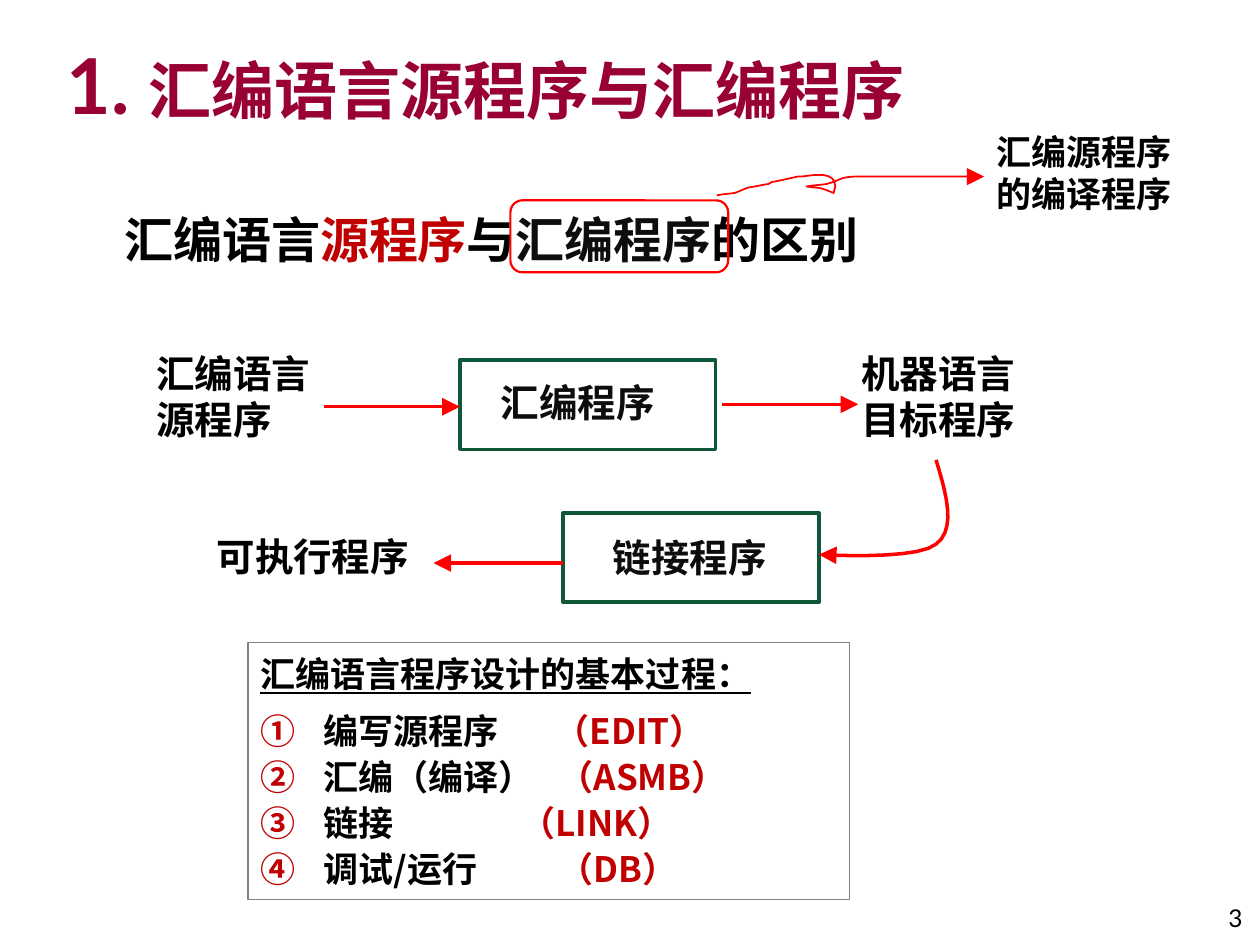
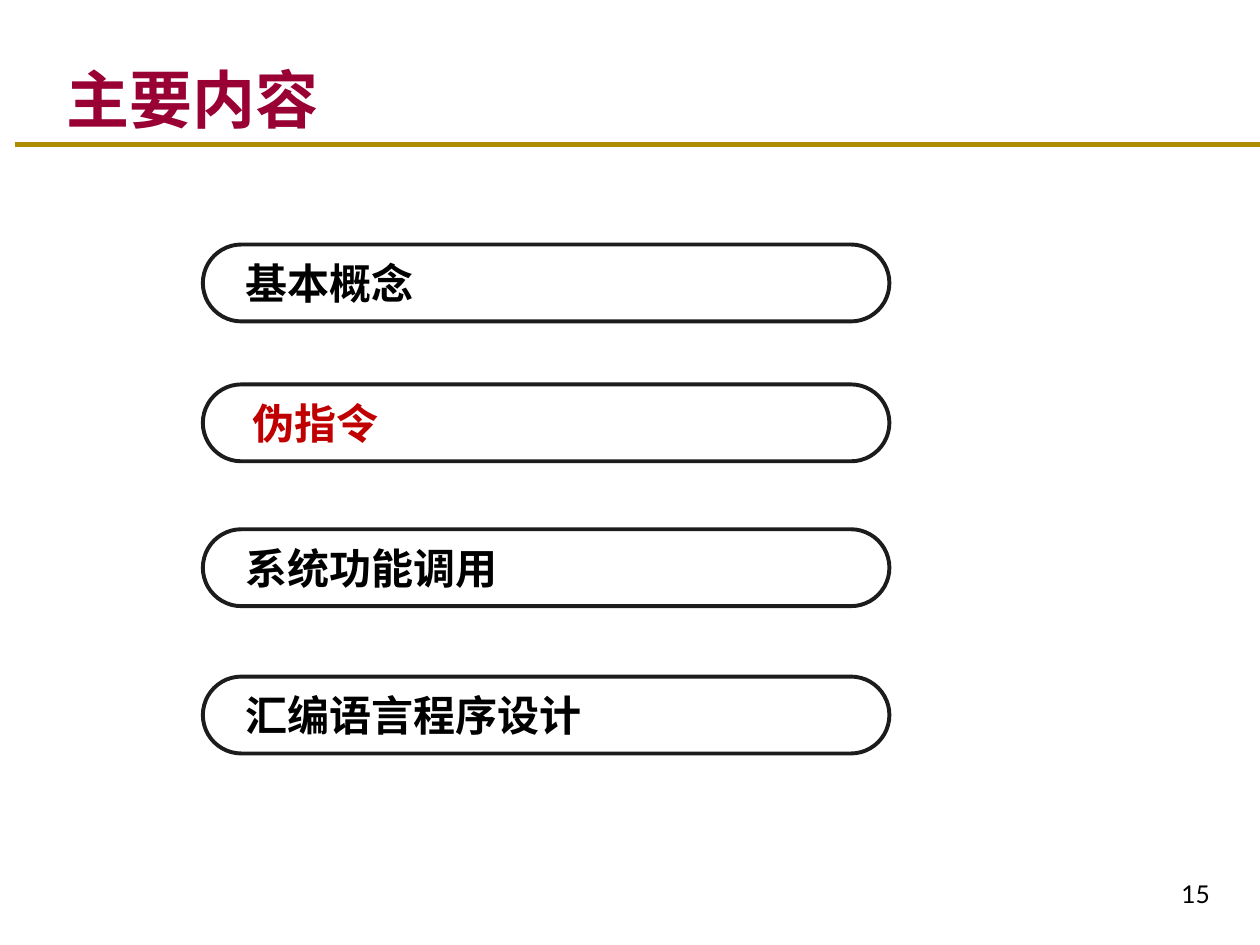
"""Build two slides on assembly-language programs and the assembler."""
from dataclasses import dataclass

from lxml import etree
from pptx import Presentation
from pptx import util as u
from pptx.dml.color import RGBColor
from pptx.enum import shapes, text
from pptx.oxml.ns import qn

CJK = "Noto Sans CJK SC"
LATIN = "Lato"
BLACK = RGBColor(0x00, 0x00, 0x00)
INK = RGBColor(0x0D, 0x0D, 0x0D)
MAROON = RGBColor(0x99, 0x00, 0x33)
CRIMSON = RGBColor(0xC0, 0x00, 0x00)
RED = RGBColor(0xFF, 0x00, 0x00)
GREEN = RGBColor(0x10, 0x56, 0x38)
GREY = RGBColor(0x80, 0x80, 0x80)
CHARCOAL = RGBColor(0x1C, 0x1C, 0x1C)
GOLD = RGBColor(0xAD, 0x8C, 0x01)
WHITE = RGBColor(0xFF, 0xFF, 0xFF)
LEADING = 1.2
LEFT, CENTER, RIGHT = text.PP_ALIGN.LEFT, text.PP_ALIGN.CENTER, text.PP_ALIGN.RIGHT
TOP, MIDDLE, BOTTOM = text.MSO_ANCHOR.TOP, text.MSO_ANCHOR.MIDDLE, text.MSO_ANCHOR.BOTTOM


@dataclass(frozen=True)
class Area:
    """A rectangle in centimetres."""
    left: float
    top: float
    width: float
    height: float

    def lengths(self) -> list:
        """Give the four sides as lengths."""
        return [u.Cm(side) for side in (self.left, self.top, self.width, self.height)]


@dataclass(frozen=True)
class Label:
    """A line of the flow diagram."""
    words: str
    area: Area
    size: float = 22
    color: RGBColor = BLACK
    align: text.PP_ALIGN = LEFT


@dataclass(frozen=True)
class Arrow:
    """A straight arrow between two points in centimetres."""
    start: tuple[float, float]
    end: tuple[float, float]


@dataclass(frozen=True)
class Step:
    """A step of the programming process, its tool and the tool's indent."""
    task: str
    tool: str
    indent: float


@dataclass(frozen=True)
class Topic:
    """An entry of the contents slide."""
    words: str
    top: float
    inset: float = 0.63
    color: RGBColor = BLACK


LABELS = [
    Label("汇编程序", Area(9.45, 7.52, 4.39, 1.19), color=INK, align=CENTER),
    Label("汇编语言源程序", Area(2.9, 6.93, 3.78, 2.13)),
    Label("机器语言目标程序", Area(17.12, 6.93, 3.99, 2.13)),
    Label("链接程序", Area(11.71, 10.64, 4.39, 1.19), color=INK, align=CENTER),
    Label("可执行程序", Area(3.51, 10.62, 5.59, 1.19), align=CENTER),
    Label("汇编源程序的编译程序", Area(19.84, 2.51, 4.65, 1.96), size=20),
]
PROGRAM_BOXES = [Area(9.27, 7.26, 5.16, 1.8), Area(11.35, 10.34, 5.16, 1.8)]
ARROWS = [
    Arrow((6.53, 8.2), (9.27, 8.2)),
    Arrow((14.55, 8.15), (17.3, 8.15)),
    Arrow((11.35, 11.35), (8.74, 11.35)),
]
HOOK = [
    (18.87, 9.27), (19.08, 9.96), (19.28, 10.67), (18.87, 10.97),
    (18.49, 11.3), (16.51, 11.18), (16.51, 11.18),
]
SQUIGGLE = [
    (14.45, 3.94), (14.58, 3.91), (14.68, 3.91), (14.81, 3.89),
    (14.91, 3.86), (14.99, 3.81), (15.09, 3.78),
    (15.24, 3.76), (15.34, 3.73), (15.49, 3.71),
    (15.54, 3.68), (15.57, 3.66), (15.62, 3.66),
    (15.77, 3.63), (16.08, 3.56), (16.08, 3.56),
    (16.23, 3.58), (16.84, 3.38), (16.84, 3.76),
    (16.84, 3.78), (16.81, 3.84), (16.81, 3.89),
    (16.46, 3.76), (16.64, 3.81), (16.26, 3.76),
    (16.41, 3.73), (16.54, 3.73), (16.66, 3.71),
    (16.97, 3.63), (16.89, 3.58), (17.22, 3.56),
    (18.08, 3.56), (18.97, 3.56), (19.84, 3.56),
]
STEPS = [
    Step("编写源程序", "（EDIT）", 0),
    Step("汇编（编译）", "（ASMB）", 0.08),
    Step("链接", "（LINK）", -0.69),
    Step("调试/运行", "（DB）", 0.08),
]
TOPICS = [
    Topic("基本概念", 4.93),
    Topic("伪指令", 7.75, inset=0.77, color=CRIMSON),
    Topic("系统功能调用", 10.67),
    Topic("汇编语言程序设计", 13.64),
]


def add_span(para, words: str, *, size: float, color: RGBColor = BLACK, font: str = CJK,
             bold: bool = True, underline: bool = False) -> None:
    """Append formatted text to a paragraph."""
    span = para.add_run()
    span.text = words
    span.font.size = u.Pt(size)
    span.font.bold = bold
    span.font.underline = underline
    span.font.color.rgb = color
    span.font.name = font
    latin = span.font._element.find(qn("a:latin"))
    east_asian = etree.Element(qn("a:ea"), typeface=font)
    latin.addnext(east_asian)


def add_label(page, area: Area, align=LEFT, anchor=TOP):
    """Add a wrapping text box and return its first paragraph."""
    box = page.shapes.add_textbox(*area.lengths())
    box.text_frame.word_wrap = True
    box.text_frame.vertical_anchor = anchor
    para = box.text_frame.paragraphs[0]
    para.alignment = align
    return para


def set_leading(para, size: float) -> None:
    """Fix the line pitch of a paragraph from its text size."""
    para.line_spacing = u.Pt(size * LEADING)


def style_outline(line, color: RGBColor, width: float, arrow: bool = False) -> None:
    """Set line colour and width, with an optional arrowhead at its end."""
    line.color.rgb = color
    line.width = u.Pt(width)
    if arrow:
        etree.SubElement(line._get_or_add_ln(), qn("a:tailEnd"),
                         type="triangle", w="lg", len="lg")


def add_frame(page, area: Area, color: RGBColor, width: float,
              kind=shapes.MSO_SHAPE.RECTANGLE):
    """Add an unfilled outlined shape."""
    frame = page.shapes.add_shape(kind, *area.lengths())
    frame.shadow.inherit = False
    frame.fill.background()
    style_outline(frame.line, color, width)
    return frame


def add_line(page, start: tuple, end: tuple, color: RGBColor, width: float,
             arrow: bool = False) -> None:
    """Add a straight connector."""
    line = page.shapes.add_connector(
        shapes.MSO_CONNECTOR.STRAIGHT, *[u.Cm(value) for value in start + end])
    style_outline(line.line, color, width, arrow)
    etree.SubElement(line._element.spPr, qn("a:effectLst"))


def trace_curve(nodes: list, steps: int = 10) -> list:
    """Sample a chain of cubic curves into points."""
    points = []
    for first in range(0, len(nodes) - 1, 3):
        corners = nodes[first:first + 4]
        for step in range(1, steps + 1):
            t = step / steps
            weights = ((1 - t) ** 3, 3 * t * (1 - t) ** 2, 3 * t * t * (1 - t), t ** 3)
            points.append(tuple(
                u.Cm(sum(weight * corner[axis] for weight, corner in zip(weights, corners)))
                for axis in (0, 1)))
    return points


def add_curved_arrow(page, nodes: list, width: float) -> None:
    """Draw a red arrow along a chain of cubic curves."""
    builder = page.shapes.build_freeform(*[u.Cm(value) for value in nodes[0]])
    builder.add_line_segments(trace_curve(nodes), close=False)
    curve = builder.convert_to_shape()
    curve.shadow.inherit = False
    curve.fill.background()
    style_outline(curve.line, RED, width, arrow=True)


def add_page(deck, title_area: Area, number: str, number_area: Area):
    """Add a blank page with its number and return it with the title paragraph."""
    page = deck.slides.add_slide(deck.slide_layouts[6])
    page.background.fill.solid()
    page.background.fill.fore_color.rgb = WHITE
    para = add_label(page, number_area, RIGHT, BOTTOM)
    add_span(para, number, size=14, font=LATIN, bold=False)
    return page, add_label(page, title_area, anchor=BOTTOM)


def number_item(para, margin: float) -> None:
    """Give a paragraph a red circled number and a hanging indent."""
    properties = para._p.get_or_add_pPr()
    properties.set("marL", str(u.Cm(margin)))
    properties.set("indent", str(-u.Cm(margin)))
    color = etree.SubElement(properties, qn("a:buClr"))
    etree.SubElement(color, qn("a:srgbClr"), val=str(CRIMSON))
    etree.SubElement(properties, qn("a:buFont"), typeface=CJK)
    etree.SubElement(properties, qn("a:buAutoNum"), type="circleNumDbPlain")


def add_process(page) -> None:
    """Draw the framed list of programming steps and their tools."""
    size, gap = 20, 6
    area = Area(5, 12.95, 12.12, 5.18)
    frame = add_frame(page, area, GREY, 0.75).text_frame
    frame.word_wrap = True
    frame.vertical_anchor = TOP
    heading = frame.paragraphs[0]
    heading.alignment = LEFT
    heading.space_after = u.Pt(gap)
    set_leading(heading, size * 1.1)
    add_span(heading, "汇编语言程序设计的基本过程：", size=size, underline=True)
    tools_top = area.top + u.Pt(size * 1.1 * LEADING + gap).cm
    tool = add_label(page, Area(10.24, tools_top, 5.5, 3.95))
    tools = tool._parent
    for index, step in enumerate(STEPS):
        task = frame.add_paragraph()
        task.alignment = LEFT
        number_item(task, 1.27)
        tool = tool if index == 0 else tools.add_paragraph()
        tool._p.get_or_add_pPr().set("marL", str(u.Cm(0.69 + step.indent)))
        tool._p.get_or_add_pPr().set("indent", "0")
        for para in (task, tool):
            set_leading(para, size * 1.1)
        add_span(task, step.task, size=size)
        add_span(tool, step.tool, size=size, color=CRIMSON)


def build_flow_page(deck) -> None:
    """Build the page that tells source program and assembler apart."""
    page, title = add_page(deck, Area(1.09, 0.53, 20.19, 2.21), "3",
                           Area(23.5, 17.65, 1.8, 1.27))
    set_leading(title, 44)
    add_span(title, "1. ", size=44, color=MAROON, font=LATIN)
    add_span(title, "汇编语言源程序与汇编程序", size=36, color=MAROON)
    for area in PROGRAM_BOXES:
        add_frame(page, area, GREEN, 2)
    for label in LABELS:
        para = add_label(page, label.area, label.align)
        set_leading(para, label.size)
        add_span(para, label.words, size=label.size, color=label.color)
    topic = add_label(page, Area(2.26, 4.09, 17.88, 1.45))
    set_leading(topic, 28)
    for words, color in (("汇编语言", BLACK), ("源程序", CRIMSON), ("与", BLACK),
                         ("汇编程序", INK), ("的区别", BLACK)):
        add_span(topic, words, size=28, color=color)
    for arrow in ARROWS:
        add_line(page, arrow.start, arrow.end, RED, 2, arrow=True)
    add_curved_arrow(page, HOOK, 2)
    add_frame(page, Area(10.29, 4.04, 4.39, 1.45), RED, 1.25,
              shapes.MSO_SHAPE.ROUNDED_RECTANGLE)
    add_curved_arrow(page, SQUIGGLE, 1)
    add_process(page)


def build_contents_page(deck) -> None:
    """Build the contents page with the current topic in red."""
    page, title = add_page(deck, Area(1.09, 0.53, 21.31, 2.34), "15",
                           Area(23.29, 17.17, 1.35, 1.27))
    set_leading(title, 36)
    add_span(title, "主要内容", size=36, color=MAROON)
    add_line(page, (0.3, 2.92), (25.4, 2.92), GOLD, 3)
    for topic in TOPICS:
        pill = add_frame(page, Area(4.09, topic.top, 13.84, 1.55), CHARCOAL, 2.25,
                         shapes.MSO_SHAPE.ROUNDED_RECTANGLE)
        pill.adjustments[0] = 0.5
        frame = pill.text_frame
        frame.word_wrap = True
        frame.vertical_anchor = MIDDLE
        frame.margin_left = u.Cm(topic.inset)
        para = frame.paragraphs[0]
        para.alignment = LEFT
        set_leading(para, 24)
        add_span(para, topic.words, size=24, color=topic.color)


def main() -> None:
    """Create and save the deck."""
    deck = Presentation()
    deck.slide_width, deck.slide_height = u.Cm(25.4), u.Cm(19.05)
    build_flow_page(deck)
    build_contents_page(deck)
    deck.save("out.pptx")


if __name__ == "__main__":
    main()
